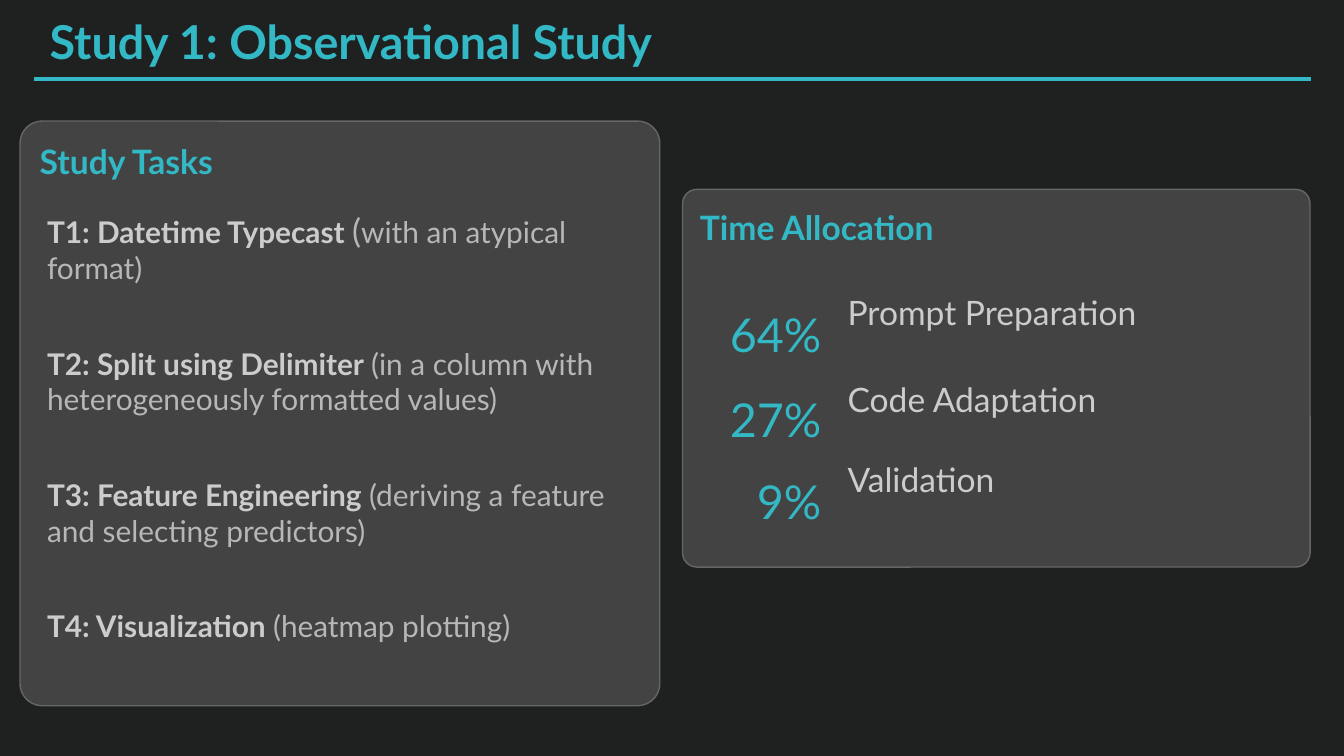
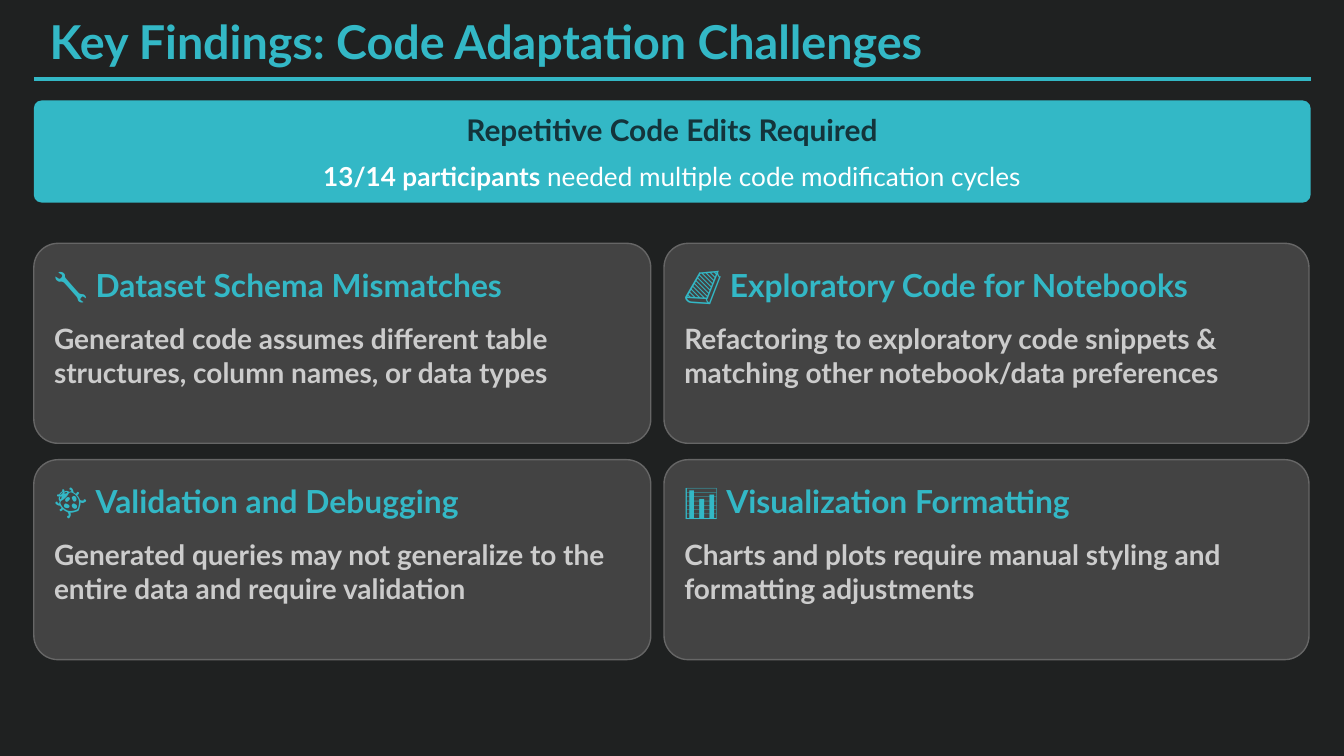
from dataclasses import dataclass
from itertools import product
from typing import NamedTuple, Optional

from lxml.etree import SubElement
from pptx import Presentation
from pptx.dml.color import RGBColor
from pptx.enum.shapes import MSO_CONNECTOR as Connector, MSO_SHAPE as Preset
from pptx.enum.text import MSO_ANCHOR as Anchor, PP_ALIGN as Align
from pptx.oxml.ns import qn
from pptx.util import Cm, Pt

BACKGROUND = RGBColor(0x1F, 0x21, 0x21)
TEAL = RGBColor(0x33, 0xB8, 0xC6)
DEEP_TEAL = RGBColor(0x14, 0x34, 0x3B)
PANEL = RGBColor(0x43, 0x43, 0x43)
PANEL_EDGE = RGBColor(0x66, 0x66, 0x66)
LIGHT = RGBColor(0xCC, 0xCC, 0xCC)
MUTED = RGBColor(0xB7, 0xB7, 0xB7)
WHITE = RGBColor(0xFF, 0xFF, 0xFF)

FONT = "Lato"
LEFT, RIGHT = 0.64, 24.77
TEXT_FORMAT = {"word_wrap": True, **{
    f"margin_{side}": Cm(0.25) for side in ("left", "right", "top", "bottom")}}


class Span(NamedTuple):
    """A stretch of text in one style."""
    text: str
    size: float
    color: RGBColor
    bold: bool = False


class Para(NamedTuple):
    """A paragraph made of spans."""
    spans: list[Span]
    align: Align = Align.LEFT
    before: float = 0


class Area(NamedTuple):
    """Left, top, width and height in centimetres."""
    left: float
    top: float
    width: float
    height: float


@dataclass
class Panel:
    """A rounded rectangle that holds text."""
    area: Area
    radius: float
    paras: list[Para]
    fill: RGBColor = PANEL
    edge: Optional[RGBColor] = PANEL_EDGE
    anchor: Anchor = Anchor.TOP


class Task(NamedTuple):
    """A study task and its remark."""
    name: str
    remark: str


class Share(NamedTuple):
    """A share of time with the tops of its figure and label."""
    percent: str
    label: str
    percent_top: float
    label_top: float


class Finding(NamedTuple):
    """A challenge shown on a card."""
    icon: str
    heading: str
    detail: str


TASKS = [
    Task("T1: Datetime Typecast ", "with an atypical format)"),
    Task("T2: Split using Delimiter ",
         "(in a column with heterogeneously formatted values)"),
    Task("T3: Feature Engineering ",
         "(deriving a feature and selecting predictors)"),
    Task("T4: Visualization ", "(heatmap plotting)"),
]
SHARES = [
    Share("64%", "Prompt Preparation", 5.54, 5.26),
    Share("27%", "Code Adaptation", 7.14, 6.91),
    Share("9%", "Validation", 8.69, 8.43),
]
FINDINGS = [
    Finding("🔧 ", "Dataset Schema Mismatches",
            "Generated code assumes different table structures, "
            "column names, or data types"),
    Finding("📗 ", "Exploratory Code for Notebooks",
            "Refactoring to exploratory code snippets & "
            "matching other notebook/data preferences"),
    Finding("🐞 ", "Validation and Debugging",
            "Generated queries may not generalize to the entire data "
            "and require validation"),
    Finding("📊 ", "Visualization Formatting",
            "Charts and plots require manual styling and "
            "formatting adjustments"),
]
CARD_COLUMNS = [(LEFT, 11.66), (12.55, 12.19)]
CARD_ROWS = [4.6, 8.69]
CARD_HEIGHT = 3.78


def apply_format(target, values: dict) -> None:
    """Set each named attribute of the target."""
    for name, value in values.items():
        setattr(target, name, value)


def write(frame, paras: list[Para], anchor: Anchor = Anchor.TOP) -> None:
    """Fill a text frame with paragraphs."""
    apply_format(frame, {**TEXT_FORMAT, "vertical_anchor": anchor})
    for index, para in enumerate(paras):
        paragraph = frame.add_paragraph() if index else frame.paragraphs[0]
        apply_format(paragraph, {"alignment": para.align,
                                 "space_before": Pt(para.before)})
        for span in para.spans:
            run = paragraph.add_run()
            run.text = span.text
            apply_format(run.font, {"name": FONT, "size": Pt(span.size),
                                    "bold": span.bold})
            run.font.color.rgb = span.color


def add_text(page, area: Area, paras: list[Para]) -> None:
    """Add a text box."""
    box = page.shapes.add_textbox(*map(Cm, area))
    write(box.text_frame, paras)


def add_panel(page, panel: Panel) -> None:
    """Add a rounded panel with its text."""
    box = page.shapes.add_shape(Preset.ROUNDED_RECTANGLE,
                                *map(Cm, panel.area))
    box.shadow.inherit = False
    box.adjustments[0] = panel.radius
    box.fill.solid()
    box.fill.fore_color.rgb = panel.fill
    if panel.edge is None:
        box.line.fill.background()
    else:
        box.line.color.rgb = panel.edge
        box.line.width = Pt(0.75)
    write(box.text_frame, panel.paras, panel.anchor)


def add_page(deck, title: str):
    """Add a dark page with its title and rule."""
    page = deck.slides.add_slide(deck.slide_layouts[6])
    page.background.fill.solid()
    page.background.fill.fore_color.rgb = BACKGROUND
    add_text(page, Area(0.69, 0, 24.71, 1.57),
             [Para([Span(title, 25, TEAL, True)])])
    rule = page.shapes.add_connector(Connector.STRAIGHT, Cm(LEFT), Cm(1.5),
                                     Cm(RIGHT), Cm(1.5))
    rule.line.color.rgb = TEAL
    rule.line.width = Pt(2.25)
    SubElement(rule._element.spPr, qn("a:effectLst"))
    return page


def task_para(index: int, task: Task) -> Para:
    """Compose the paragraph of one task."""
    spans = [Span(task.name, 16, LIGHT, True), Span(task.remark, 16, MUTED)]
    if index == 0:
        spans.insert(1, Span("(", 18, MUTED))
    return Para(spans, before=32 if index else 0)


def build_study(deck) -> None:
    """Build the page on the observational study."""
    page = add_page(deck, "Study 1: Observational Study")
    for heading, area in (("Study Tasks", Area(0.38, 2.29, 12.09, 11.05)),
                          ("Time Allocation", Area(12.9, 3.58, 11.86, 7.14))):
        add_panel(page, Panel(area, 0.038,
                              [Para([Span(heading, 18, TEAL, True)])]))
    add_text(page, Area(LEFT, 3.71, 11.58, 9.63),
             [task_para(index, task) for index, task in enumerate(TASKS)])
    for share in SHARES:
        add_text(page, Area(13.31, share.percent_top, 2.46, 1.57),
                 [Para([Span(share.percent, 25, TEAL)], Align.RIGHT)])
        add_text(page, Area(15.77, share.label_top, 8.33, 1.27),
                 [Para([Span(share.label, 18, LIGHT)])])


def build_findings(deck) -> None:
    """Build the page on code adaptation challenges."""
    page = add_page(deck, "Key Findings: Code Adaptation Challenges")
    add_panel(page, Panel(
        Area(LEFT, 1.9, RIGHT - LEFT, 1.93), 0.076,
        [Para([Span("Repetitive Code Edits Required", 16, DEEP_TEAL, True)],
              Align.CENTER),
         Para([Span("13/14 participants ", 14, WHITE, True),
               Span("needed multiple code modification cycles", 14, WHITE)],
              Align.CENTER, 7)],
        fill=TEAL, edge=None, anchor=Anchor.MIDDLE))
    cells = product(CARD_ROWS, CARD_COLUMNS)
    for finding, (top, (left, width)) in zip(FINDINGS, cells):
        add_panel(page, Panel(
            Area(left, top, width, CARD_HEIGHT), 0.121,
            [Para([Span(finding.icon, 18, TEAL, True),
                   Span(finding.heading, 17, TEAL, True)]),
             Para([Span(finding.detail, 15, LIGHT, True)], before=9.5)]))


def main() -> None:
    """Build and save the deck."""
    deck = Presentation()
    apply_format(deck, {"slide_width": Cm(25.4), "slide_height": Cm(14.29)})
    build_study(deck)
    build_findings(deck)
    deck.save("out.pptx")


if __name__ == "__main__":
    main()
